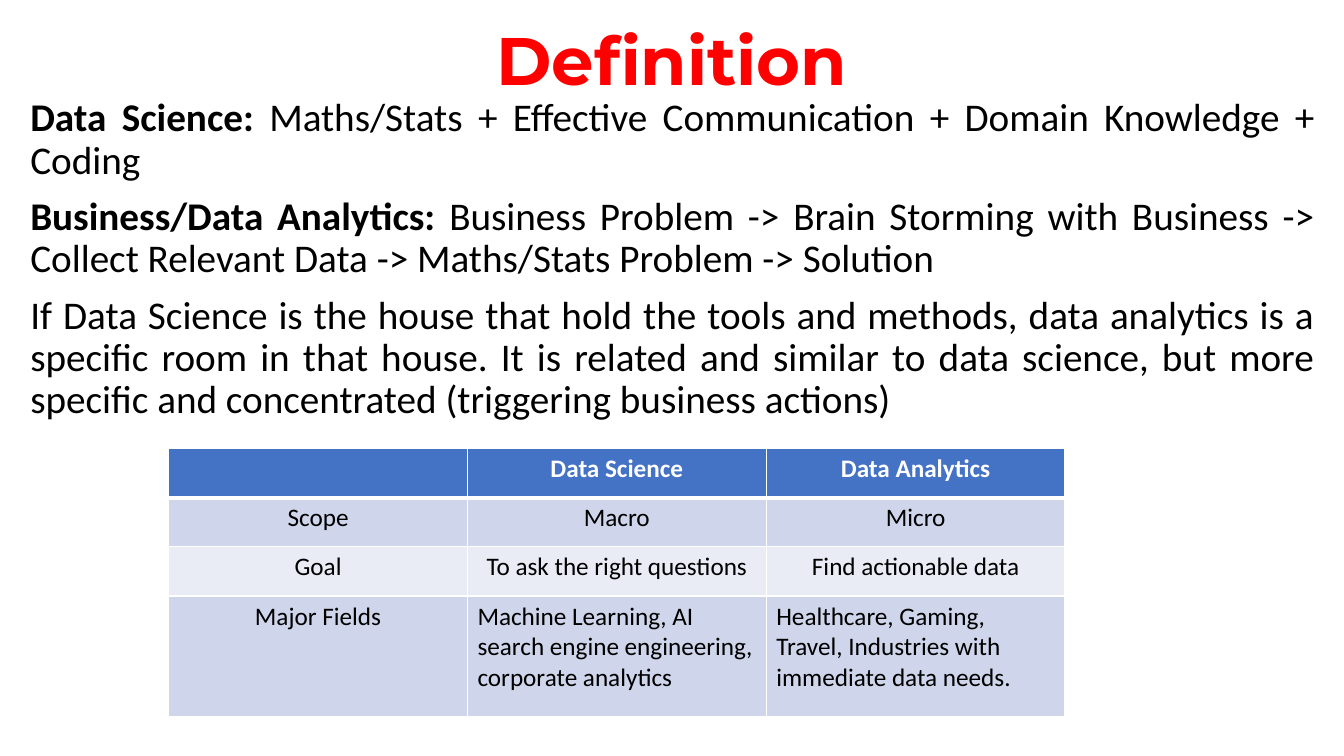
from dataclasses import dataclass

from lxml.etree import SubElement
from pptx import Presentation
from pptx.dml.color import RGBColor
from pptx.enum.text import MSO_ANCHOR, MSO_AUTO_SIZE, PP_ALIGN
from pptx.oxml.ns import qn
from pptx.util import Cm, Pt

COLOURS = {
    "title": "FF0000",
    "text": "000000",
    "white": "FFFFFF",
    "header": "4472C4",
    "odd_row": "CFD5EA",
    "even_row": "E9EBF5",
}
BODY_FONT = "Calibri"


@dataclass
class Definition:
    term: str
    meaning: str


@dataclass
class Row:
    cells: tuple[str, str, str]
    height: float
    fill: str
    alignments: tuple = (PP_ALIGN.CENTER,) * 3


DEFINITIONS = [
    Definition("Data Science: ",
               "Maths/Stats + Effective Communication + Domain Knowledge + Coding"),
    Definition("Business/Data Analytics: ",
               "Business Problem -> Brain Storming with Business -> "
               "Collect Relevant Data -> Maths/Stats Problem -> Solution"),
    Definition("",
               "If Data Science is the house that hold the tools and methods, "
               "data analytics is a specific room in that house. It is related and "
               "similar to data science, but more specific and concentrated "
               "(triggering business actions)"),
]
ROWS = [
    Row(("", "Data Science", "Data Analytics"), 1.24, "header"),
    Row(("Scope", "Macro", "Micro"), 1.24, "odd_row"),
    Row(("Goal", "To ask the right questions", "Find actionable data"), 1.24, "even_row"),
    Row(("Major Fields",
         "Machine Learning, AI search engine engineering, corporate analytics",
         "Healthcare, Gaming, Travel, Industries with immediate data needs."),
        3.04, "odd_row", (PP_ALIGN.CENTER, PP_ALIGN.LEFT, PP_ALIGN.LEFT)),
]


def format_font(font, name: str, size: float, colour: str, bold: bool) -> None:
    font.name = name
    font.size = Pt(size)
    font.bold = bold
    font.color.rgb = RGBColor.from_string(COLOURS[colour])


def place(shape, left: float, top: float, width: float, height: float, anchor) -> None:
    shape.left, shape.top = Cm(left), Cm(top)
    shape.width, shape.height = Cm(width), Cm(height)
    shape.text_frame.word_wrap = True
    shape.text_frame.auto_size = MSO_AUTO_SIZE.NONE
    shape.text_frame.vertical_anchor = anchor


def add_border(cell, side: str, width: float) -> None:
    line = SubElement(cell._tc.get_or_add_tcPr(), qn(f"a:ln{side}"), w=str(Pt(width)))
    SubElement(SubElement(line, qn("a:solidFill")), qn("a:srgbClr"), val=COLOURS["white"])


def draw_title(title) -> None:
    place(title, 1.5, 0.3, 30.86, 2.34, MSO_ANCHOR.BOTTOM)
    title.text_frame.text = "Definition"
    paragraph = title.text_frame.paragraphs[0]
    paragraph.alignment = PP_ALIGN.CENTER
    paragraph.line_spacing = 0.9
    format_font(paragraph.runs[0].font, "Montserrat", 48, "title", True)


def draw_definitions(body, definitions: list[Definition]) -> None:
    place(body, 0.51, 2.34, 32.87, 8.64, MSO_ANCHOR.TOP)
    text_frame = body.text_frame
    for index, definition in enumerate(definitions):
        paragraph = text_frame.add_paragraph() if index else text_frame.paragraphs[0]
        paragraph.alignment = PP_ALIGN.JUSTIFY
        paragraph.line_spacing = 0.9
        paragraph.space_before = Pt(10)
        for text, bold in ((definition.term, True), (definition.meaning, False)):
            if text:
                run = paragraph.add_run()
                run.text = text
                format_font(run.font, BODY_FONT, 28, "text", bold)


def draw_table(slide, rows: list[Row]) -> None:
    column_width = Cm(7.53)
    columns = len(rows[0].cells)
    height = Cm(sum(row.height for row in rows))
    table = slide.shapes.add_table(len(rows), columns, Cm(4.25), Cm(11.3),
                                   column_width * columns, height).table
    for column in table.columns:
        column.width = column_width
    for row_index, row in enumerate(rows):
        table.rows[row_index].height = Cm(row.height)
        is_header = row_index == 0
        # A thick rule parts the header from the first row
        widths = {"L": 1, "R": 1, "T": 3 if row_index == 1 else 1, "B": 3 if is_header else 1}
        for column_index, text in enumerate(row.cells):
            cell = table.cell(row_index, column_index)
            for side, width in widths.items():
                add_border(cell, side, width)
            cell.fill.solid()
            cell.fill.fore_color.rgb = RGBColor.from_string(COLOURS[row.fill])
            cell.text_frame.text = text
            paragraph = cell.text_frame.paragraphs[0]
            paragraph.alignment = row.alignments[column_index]
            for run in paragraph.runs:
                format_font(run.font, BODY_FONT, 18, "white" if is_header else "text", is_header)


presentation = Presentation()
presentation.slide_width = Cm(33.87)
presentation.slide_height = Cm(19.05)
slide = presentation.slides.add_slide(presentation.slide_layouts[0])

# Title and definitions
draw_title(slide.shapes.title)
draw_definitions(slide.placeholders[1], DEFINITIONS)

# Comparison table
draw_table(slide, ROWS)

presentation.save("out.pptx")
